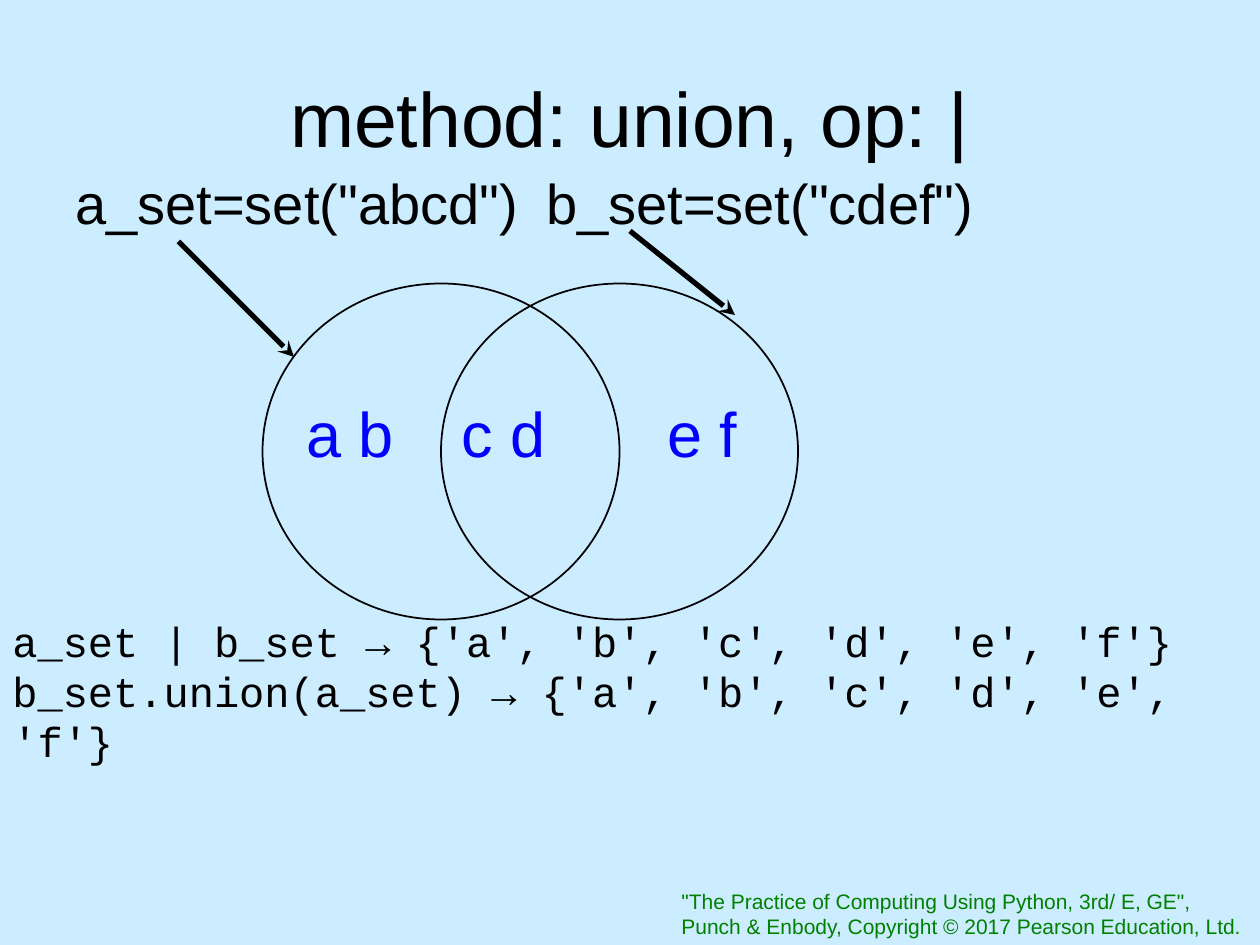
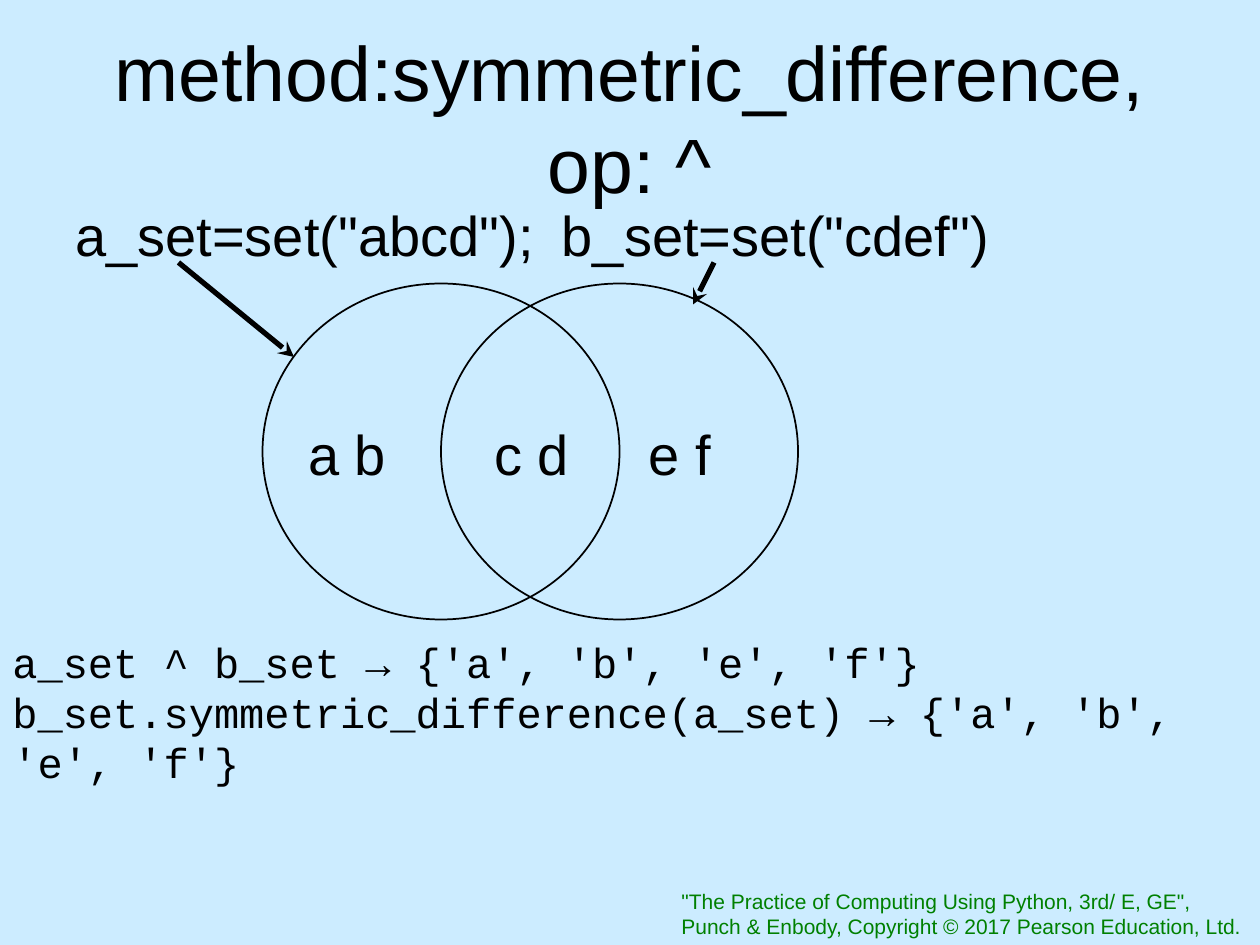
from lxml.etree import SubElement
from pptx import Presentation
from pptx.dml.color import RGBColor
from pptx.enum.shapes import MSO_CONNECTOR, MSO_SHAPE
from pptx.enum.text import MSO_ANCHOR, PP_ALIGN
from pptx.oxml.ns import qn
from pptx.util import Pt

SKY = RGBColor(0xCC, 0xEC, 0xFF)
BLACK = RGBColor(0, 0, 0)
BLUE = RGBColor(0, 0, 0xFF)
GREEN = RGBColor(0, 0x80, 0)

CREDIT = ('"The Practice of Computing Using Python, 3rd/ E, GE",',
          "Punch & Enbody, Copyright © 2017 Pearson Education, Ltd.")


def put_text(slide, box, *lines, size=32, face="Arial", color=BLACK,
             align=PP_ALIGN.LEFT, anchor=MSO_ANCHOR.TOP, wrap=True, tabs=()):
    """Write lines of text in a box, with tab stops in points."""
    frame = slide.shapes.add_textbox(*map(Pt, box)).text_frame
    frame.word_wrap = wrap
    frame.vertical_anchor = anchor
    for i, line in enumerate(lines):
        para = frame.paragraphs[0] if i == 0 else frame.add_paragraph()
        para.text = line
        para.alignment = align
        if tabs:
            stops = SubElement(para._p.get_or_add_pPr(), qn("a:tabLst"))
            for stop in tabs:
                SubElement(stops, qn("a:tab"), pos=str(Pt(stop)), algn="l")
        for run in para.runs:
            run.font.size = Pt(size)
            run.font.name = face
            run.font.color.rgb = color


def put_arrow(slide, start, end):
    """Draw a thick line with a stealth head at its end."""
    line = slide.shapes.add_connector(
        MSO_CONNECTOR.STRAIGHT, *map(Pt, (*start, *end)))
    line.line.color.rgb = BLACK
    line.line.width = Pt(3)
    SubElement(line.line._get_or_add_ln(), qn("a:tailEnd"), type="stealth")
    SubElement(line._element.spPr, qn("a:effectLst"))


def put_venn(slide, box):
    """Draw two rings that overlap by half and fill the box."""
    left, top, width, height = box
    ring = width * 2 / 3
    for x in (left + ring / 2, left):
        oval = slide.shapes.add_shape(
            MSO_SHAPE.OVAL, *map(Pt, (x, top, ring, height)))
        oval.shadow.inherit = False
        oval.fill.background()
        oval.line.color.rgb = BLACK
        oval.line.width = Pt(1)


def put_base(deck, title):
    """Add a slide with the shared ground, credit and title."""
    slide = deck.slides.add_slide(deck.slide_layouts[6])
    slide.background.fill.solid()
    slide.background.fill.fore_color.rgb = SKY
    put_text(slide, (382.3, 504, 337, 36), *CREDIT, size=12, color=GREEN,
             wrap=False)
    put_text(slide, (36, 21.6, 648, 90), title, size=44,
             align=PP_ALIGN.CENTER, anchor=MSO_ANCHOR.MIDDLE)
    return slide


def set_slide(deck, title, sets, sets_top, sets_tab, code, code_top,
              marks, arrows):
    """Build a slide on one set method."""
    slide = put_base(deck, title)
    put_text(slide, (36, sets_top, 684, 48), sets, tabs=[sets_tab])
    put_text(slide, (0, code_top, 720, 150), *code, size=24,
             face="Courier New")
    put_venn(slide, (150, 162, 306, 192))
    left, top, style = marks
    put_text(slide, (left, top, 290, 51), "a b\tc d\te f", **style)
    for start, end in arrows:
        put_arrow(slide, start, end)


def main():
    """Build and save the deck."""
    deck = Presentation()
    deck.slide_width, deck.slide_height = Pt(720), Pt(540)
    set_slide(
        deck, "method: union, op: |",
        'a_set=set("abcd")\tb_set=set("cdef")', 93, 269,
        ("a_set | b_set → {'a', 'b', 'c', 'd', 'e', 'f'}",
         "b_set.union(a_set) → {'a', 'b', 'c', 'd', 'e', 'f'}"), 348,
        (168, 222, dict(size=36, color=BLUE, tabs=(88.6, 206.3))),
        (((102, 138), (168, 204)), ((360, 132), (420, 180))))
    set_slide(
        deck, "method:symmetric_difference, op: ^",
        'a_set=set("abcd");\tb_set=set("cdef")', 111, 278,
        ("a_set ^ b_set → {'a', 'b', 'e', 'f'}",
         "b_set.symmetric_difference(a_set) → {'a', 'b', 'e', 'f'}"), 360,
        (169, 236, dict(tabs=(106.4, 194.4))),
        (((102, 150), (168, 204)), ((408, 150), (396, 174))))
    deck.save("out.pptx")


if __name__ == "__main__":
    main()
